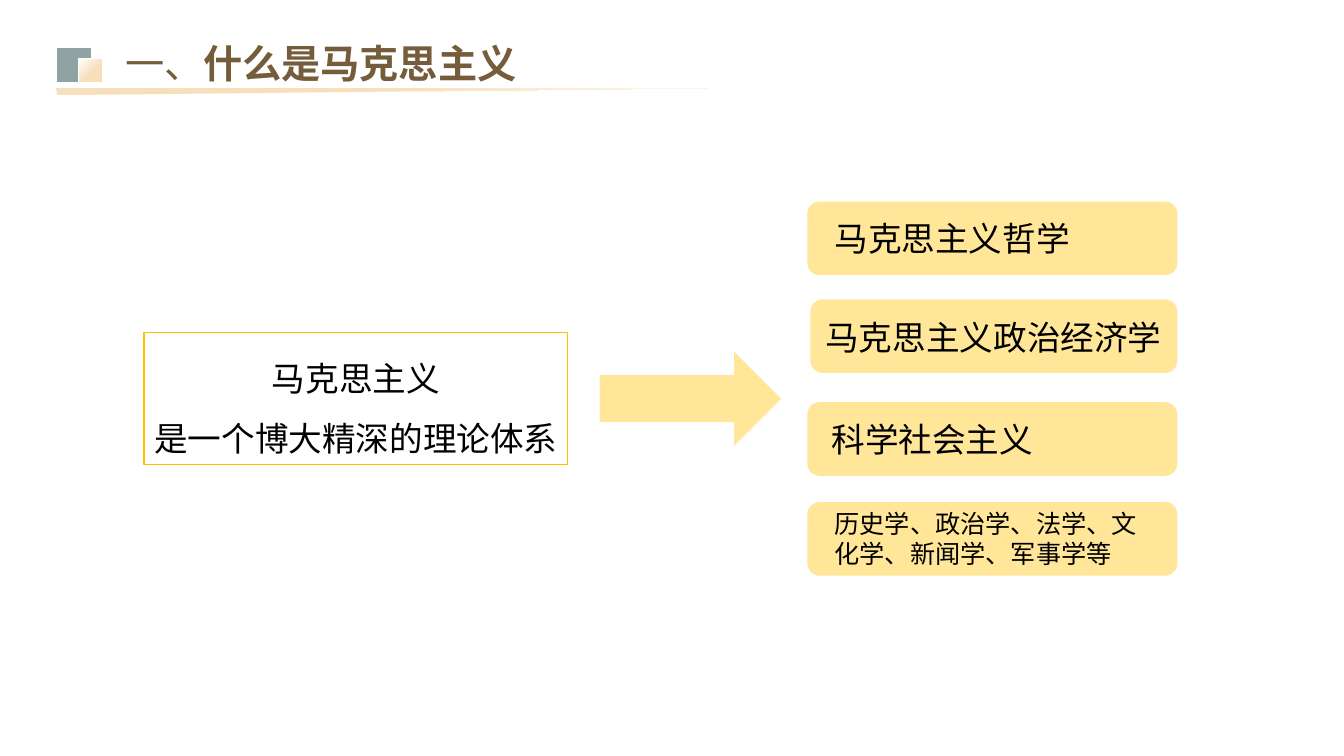
import pptx
import pptx.util
import pptx.dml.color
import pptx.enum.shapes
import pptx.enum.text
import pptx.oxml
import pptx.oxml.ns

Pt = pptx.util.Pt
RGBColor = pptx.dml.color.RGBColor
SHAPE = pptx.enum.shapes.MSO_SHAPE
ALIGN = pptx.enum.text.PP_ALIGN
ANCHOR = pptx.enum.text.MSO_ANCHOR
FIT = pptx.enum.text.MSO_AUTO_SIZE

FONT = "Noto Sans CJK SC"
WHITE = RGBColor(0xFF, 0xFF, 0xFF)
BLACK = RGBColor(0, 0, 0)
BROWN = RGBColor(0x75, 0x5D, 0x3B)
YELLOW = RGBColor(0xFF, 0xE6, 0x99)
GOLD = RGBColor(0xFF, 0xC0, 0)
TEAL = RGBColor(0x45, 0x67, 0x66)
PEACH = RGBColor(0xF7, 0xDF, 0xBB)
CREAM = RGBColor(0xFC, 0xFB, 0xEF)

# Content: paragraphs are lists of (text, bold) runs
TITLE = [[("一、", False), ("什么是马克思主义", True)]]
THEORY = [[("马克思主义", False)], [("是一个博大精深的理论体系", False)]]
# text, size, alignment, card left, card top, text left, text top, text width, text height
BRANCHES = [
    ("马克思主义哲学", 24, ALIGN.JUSTIFY, 576.7, 144, 589, 151.9, 244.8, 36),
    ("马克思主义政治经济学", 24, ALIGN.JUSTIFY, 578.9, 213.8, 582.5, 222.5, 258.5, 36),
    ("科学社会主义", 24, ALIGN.JUSTIFY, 576.7, 287.3, 586.8, 295.9, 244.1, 36),
    ("历史学、政治学、法学、文化学、新闻学、军事学等", 18, ALIGN.LEFT,
     576.7, 358.6, 589, 359.3, 244.8, 51.1),
]
CARD_RIGHT, CARD_HEIGHT = 841, 52.6
UNDERLINE = [(40.3, 62.6), (505.4, 63.4), (41, 67.7)]

deck = pptx.Presentation()
deck.slide_width, deck.slide_height = Pt(960), Pt(540)
slide = deck.slides.add_slide(deck.slide_layouts[5])
slide.background.fill.solid()
slide.background.fill.fore_color.rgb = WHITE


def write(frame, paragraphs, size=24, color=BLACK, align=ALIGN.LEFT, spacing=None,
          wrap=True, anchor=ANCHOR.TOP, fit=FIT.SHAPE_TO_FIT_TEXT):
    frame.word_wrap, frame.vertical_anchor, frame.auto_size = wrap, anchor, fit
    for number, runs in enumerate(paragraphs):
        paragraph = frame.add_paragraph() if number else frame.paragraphs[0]
        paragraph.alignment, paragraph.line_spacing = align, spacing
        for text, bold in runs:
            run = paragraph.add_run()
            run.text = text
            run.font.name, run.font.size, run.font.bold = FONT, Pt(size), bold
            run.font.color.rgb = color
            east_asian = pptx.oxml.parse_xml(
                f'<a:ea {pptx.oxml.ns.nsdecls("a")} typeface="{FONT}"/>')
            run.font._element.find(pptx.oxml.ns.qn("a:latin")).addnext(east_asian)


def paint(shape, fill, line=None):
    shape.shadow.inherit = False
    shape.fill.solid()
    shape.fill.fore_color.rgb = fill
    if line is None:
        shape.line.fill.background()
    else:
        shape.line.color.rgb, shape.line.width = line, Pt(1)
    return shape


def add(kind, left, top, width, height, fill, line=None):
    shape = slide.shapes.add_shape(kind, Pt(left), Pt(top), Pt(width), Pt(height))
    return paint(shape, fill, line)


def shade(shape, stops, angle):
    shape.fill.gradient()
    shape.fill.gradient_angle = angle
    for stop, (position, color) in zip(shape.fill.gradient_stops, stops):
        stop.position, stop.color.rgb = position, color


# Arrow from the theory to its branches
add(SHAPE.RIGHT_ARROW, 428.4, 251.3, 129.6, 67, YELLOW)

# Branch cards with their labels
for text, size, align, card_left, card_top, left, top, width, height in BRANCHES:
    add(SHAPE.ROUNDED_RECTANGLE, card_left, card_top, CARD_RIGHT - card_left,
        CARD_HEIGHT, YELLOW)
    label = slide.shapes.add_textbox(Pt(left), Pt(top), Pt(width), Pt(height))
    write(label.text_frame, [[(text, False)]], size=size, align=align)

# Theory box
theory = add(SHAPE.RECTANGLE, 103, 237.6, 302.4, 94.3, WHITE, GOLD)
write(theory.text_frame, THEORY, align=ALIGN.CENTER, spacing=1.5, wrap=False)

# Heading
heading = slide.shapes.title
heading.left, heading.top, heading.width, heading.height = Pt(82.1), Pt(24.5), Pt(439.2), Pt(41)
write(heading.text_frame, TITLE, size=28, color=BROWN, anchor=ANCHOR.MIDDLE, fit=FIT.NONE)

# Tapered underline
pen = slide.shapes.build_freeform(*UNDERLINE[0], scale=Pt(1))
pen.add_line_segments(UNDERLINE[1:], close=True)
underline = paint(pen.convert_to_shape(), PEACH)
shade(underline, [(0.53, PEACH), (1, CREAM)], 0)

# Heading squares: the teal one is 60% opaque
teal_square = add(SHAPE.RECTANGLE, 40.3, 33.8, 25.2, 25.2, TEAL, WHITE)
teal = teal_square.fill._xPr.find(".//" + pptx.oxml.ns.qn("a:srgbClr"))
teal.append(pptx.oxml.parse_xml(f'<a:alpha {pptx.oxml.ns.nsdecls("a")} val="60000"/>'))
peach_square = add(SHAPE.RECTANGLE, 56.2, 41.8, 17.3, 17.3, PEACH, WHITE)
shade(peach_square, [(0, WHITE), (0.6, PEACH)], 315)

deck.save("out.pptx")
